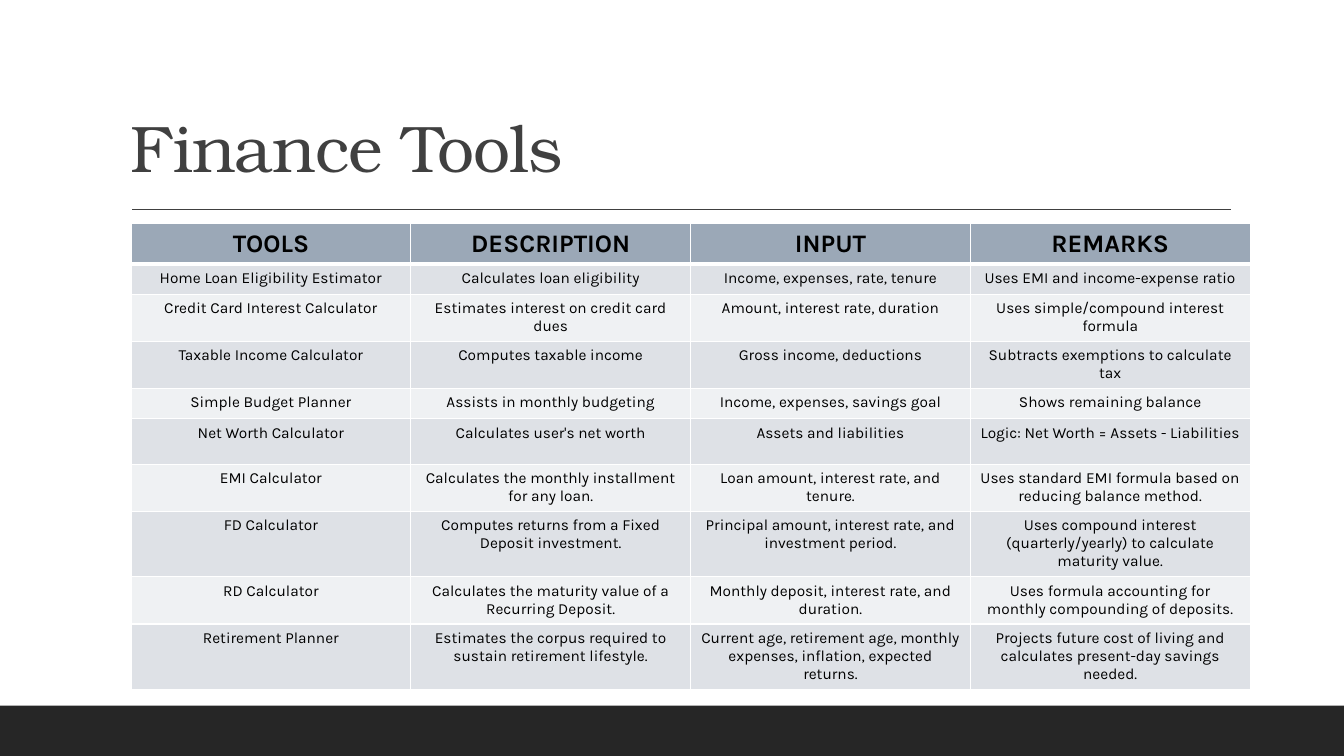
from dataclasses import dataclass

from lxml import etree
from pptx import Presentation
from pptx import util as u
from pptx.dml.color import RGBColor
from pptx.enum import shapes, text
from pptx.oxml import ns


@dataclass(frozen=True)
class Theme:
    """Colours, fonts and type sizes of the slide."""
    title_font: str = "TeX Gyre Bonum"
    table_font: str = "Karla"
    title_size: int = 47
    header_size: int = 18
    body_size: int = 11
    ink: str = "404040"
    footer: str = "262626"
    table_text: str = "000000"
    border: str = "FFFFFF"
    header_fill: str = "9BA8B7"
    bands: tuple = ("DEE1E6", "EFF1F3")


THEME = Theme()
HEADERS = ("TOOLS", "DESCRIPTION", "INPUT", "REMARKS")
TOOLS = (
    ("Home Loan Eligibility Estimator", "Calculates loan eligibility",
     "Income, expenses, rate, tenure", "Uses EMI and income-expense ratio"),
    ("Credit Card Interest Calculator", "Estimates interest on credit card dues",
     "Amount, interest rate, duration", "Uses simple/compound interest formula"),
    ("Taxable Income Calculator", "Computes taxable income",
     "Gross income, deductions", "Subtracts exemptions to calculate tax"),
    ("Simple Budget Planner", "Assists in monthly budgeting",
     "Income, expenses, savings goal", "Shows remaining balance"),
    ("Net Worth Calculator", "Calculates user's net worth",
     "Assets and liabilities", "Logic: Net Worth = Assets - Liabilities"),
    ("EMI Calculator", "Calculates the monthly installment for any loan.",
     "Loan amount, interest rate, and tenure.",
     "Uses standard EMI formula based on reducing balance method."),
    ("FD Calculator", "Computes returns from a Fixed Deposit investment.",
     "Principal amount, interest rate, and investment period.",
     "Uses compound interest (quarterly/yearly) to calculate maturity value."),
    ("RD Calculator", "Calculates the maturity value of a Recurring Deposit.",
     "Monthly deposit, interest rate, and duration.",
     "Uses formula accounting for monthly compounding of deposits."),
    ("Retirement Planner", "Estimates the corpus required to sustain retirement lifestyle.",
     "Current age, retirement age, monthly expenses, inflation, expected returns.",
     "Projects future cost of living and calculates present-day savings needed."),
)
ROW_HEIGHTS = (0.36, 0.3, 0.45, 0.45, 0.3, 0.45, 0.45, 0.63, 0.45, 0.63)


def set_font(font, name, size, color, bold=False):
    """Apply a typeface, size, colour and weight."""
    font.name, font.size, font.bold = name, u.Pt(size), bold
    font.color.rgb = RGBColor.from_string(color)


def add_footer(page):
    """Draw the dark band along the bottom edge."""
    band = page.shapes.add_shape(shapes.MSO_SHAPE.RECTANGLE, 0, u.Inches(7),
                                 u.Inches(13.33), u.Inches(0.5))
    band.shadow.inherit = False
    band.fill.solid()
    band.fill.fore_color.rgb = RGBColor.from_string(THEME.footer)
    band.line.fill.background()


def add_rule(page):
    """Draw the line under the title."""
    rule = page.shapes.add_connector(shapes.MSO_CONNECTOR.STRAIGHT, u.Inches(1.31),
                                     u.Inches(2.08), u.Inches(12.21), u.Inches(2.08))
    rule.line.width = u.Pt(1)
    rule.line.color.rgb = RGBColor.from_string(THEME.ink)
    etree.SubElement(rule._element.spPr, ns.qn("a:effectLst"))


def add_title(page, words):
    """Write the slide title, resting on the bottom of its box."""
    box = page.shapes.add_textbox(u.Inches(1.2), u.Inches(0.31), u.Inches(11), u.Inches(1.59))
    frame = box.text_frame
    frame.word_wrap = True
    frame.vertical_anchor = text.MSO_ANCHOR.BOTTOM
    para = frame.paragraphs[0]
    para.line_spacing = 0.9
    span = para.add_run()
    span.text = words
    set_font(span.font, THEME.title_font, THEME.title_size, THEME.ink)
    span.font._element.set("spc", "-50")


def set_borders(cell, top, bottom):
    """Outline a cell, with its top and bottom widths in points."""
    properties = cell._tc.get_or_add_tcPr()
    for side, width in (("L", 1), ("R", 1), ("T", top), ("B", bottom)):
        line = etree.SubElement(properties, ns.qn(f"a:ln{side}"), w=str(u.Pt(width)))
        fill = etree.SubElement(line, ns.qn("a:solidFill"))
        etree.SubElement(fill, ns.qn("a:srgbClr"), val=THEME.border)


def fill_cell(cell, words, row):
    """Write and style a cell according to its row."""
    header = row == 0
    set_borders(cell, 3 if row == 1 else 1, 3 if header else 1)
    cell.fill.solid()
    color = THEME.header_fill if header else THEME.bands[(row - 1) % 2]
    cell.fill.fore_color.rgb = RGBColor.from_string(color)
    cell.text = words
    para = cell.text_frame.paragraphs[0]
    para.alignment = text.PP_ALIGN.CENTER
    size = THEME.header_size if header else THEME.body_size
    set_font(para.font, THEME.table_font, size, THEME.table_text, header)


def add_tools_table(page):
    """Lay out the header and the finance tools in a table."""
    rows = (HEADERS, *TOOLS)
    table = page.shapes.add_table(len(rows), len(HEADERS), u.Inches(1.3), u.Inches(2.22),
                                  u.Inches(11.1), u.Inches(sum(ROW_HEIGHTS))).table
    for row, (words, height) in enumerate(zip(rows, ROW_HEIGHTS)):
        table.rows[row].height = u.Inches(height)
        for column, entry in enumerate(words):
            fill_cell(table.cell(row, column), entry, row)


def main():
    """Build the slide and save the deck."""
    deck = Presentation()
    deck.slide_width, deck.slide_height = u.Inches(13.33), u.Inches(7.5)
    page = deck.slides.add_slide(deck.slide_layouts[6])
    add_footer(page)
    add_rule(page)
    add_title(page, "Finance Tools")
    add_tools_table(page)
    deck.save("out.pptx")


if __name__ == "__main__":
    main()
